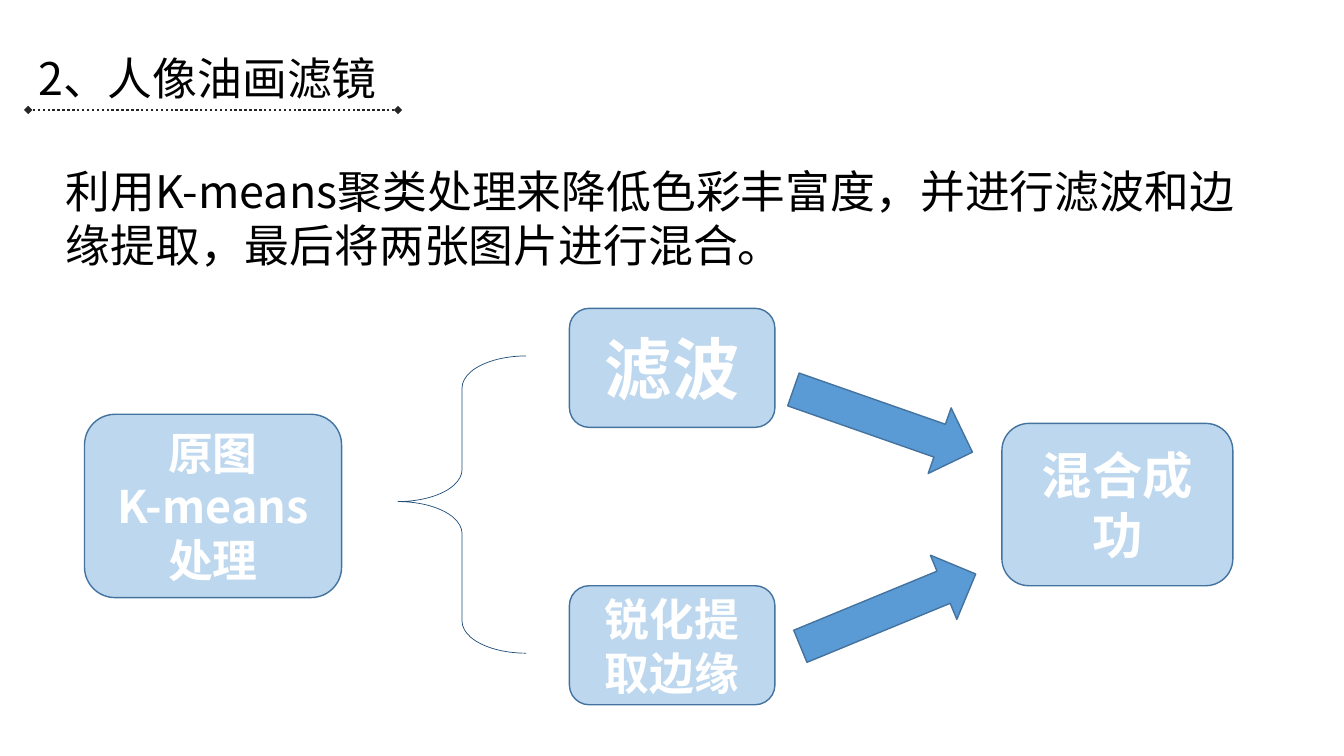
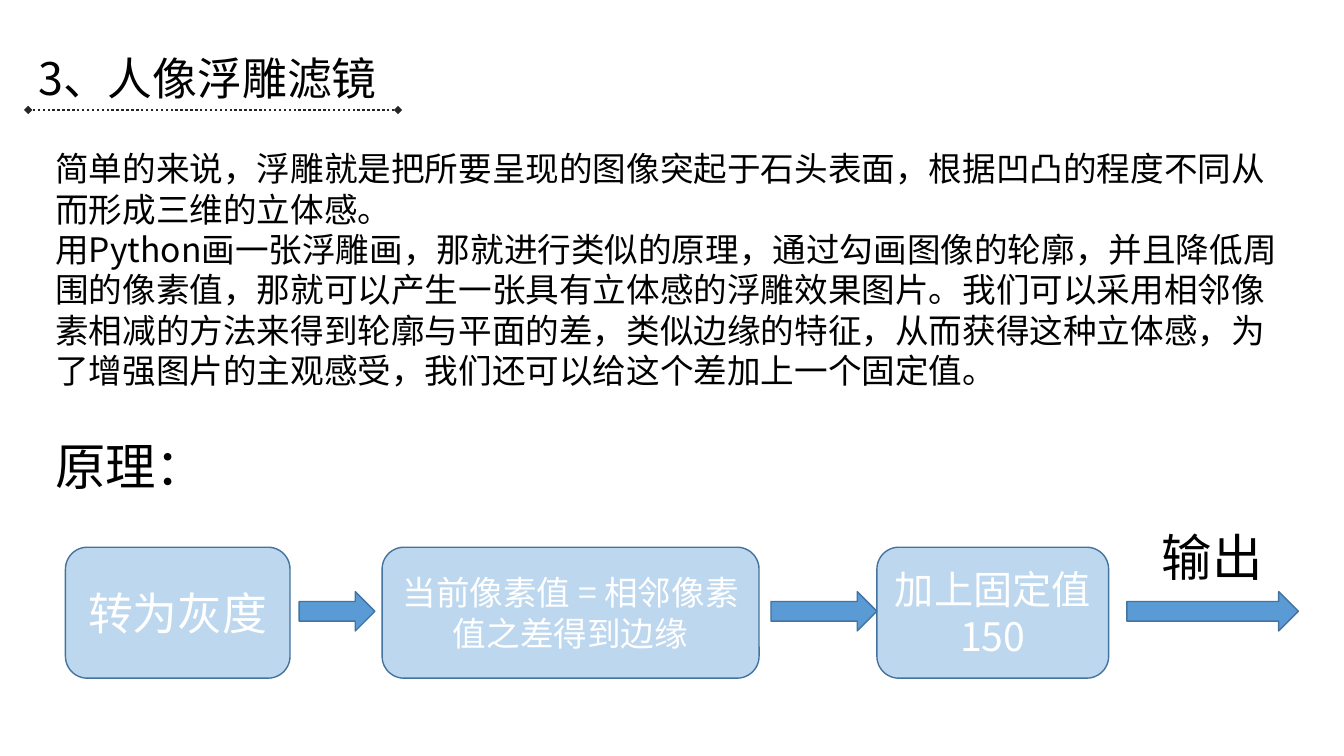
import dataclasses

import lxml.etree
import pptx
import pptx.dml.color
import pptx.enum.dml
import pptx.enum.shapes
import pptx.enum.text
import pptx.oxml.ns
import pptx.util

Cm = pptx.util.Cm
Pt = pptx.util.Pt
qn = pptx.oxml.ns.qn
Kind = pptx.enum.shapes.MSO_SHAPE
Align = pptx.enum.text.PP_ALIGN
Anchor = pptx.enum.text.MSO_ANCHOR


@dataclasses.dataclass(frozen=True)
class Theme:
    font: str = "Noto Sans CJK SC"
    ink: str = "000000"
    pale: str = "FFFFFF"
    box: str = "BDD7EE"
    edge: str = "43739E"
    arrow: str = "5B9BD5"
    brace: str = "1F4E79"
    rule: str = "262626"
    small: int = 24
    mid: int = 28
    large: int = 32
    big: int = 36
    huge: int = 48


THEME = Theme()


def rgb(code):
    return pptx.dml.color.RGBColor.from_string(code)


def place(shape, area):
    shape.left, shape.top, shape.width, shape.height = map(Cm, area)


def write(shape, text, size, color=THEME.ink, bold=False,
          align=Align.LEFT, anchor=Anchor.TOP):
    frame = shape.text_frame
    frame.text = text
    frame.word_wrap = True
    frame.auto_size = pptx.enum.text.MSO_AUTO_SIZE.NONE
    frame.vertical_anchor = anchor
    for para in frame.paragraphs:
        para.alignment = align
        para.space_before = Pt(0)
        for run in para.runs:
            font = run.font
            font.name, font.size, font.bold = THEME.font, Pt(size), bold
            font.color.rgb = rgb(color)
            latin = font._element.find(qn("a:latin"))
            east = lxml.etree.Element(qn("a:ea"), typeface=THEME.font)
            latin.addnext(east)


def head(slide, text):
    """Fill the title and draw the dotted rule with diamond ends below it."""
    title = slide.shapes.title
    place(title, (0.71, 1.14, 10.2, 1.63))
    write(title, text, THEME.large)
    rule = slide.shapes.add_connector(
        pptx.enum.shapes.MSO_CONNECTOR.STRAIGHT,
        Cm(10.03), Cm(2.77), Cm(0.71), Cm(2.77))
    rule.line.color.rgb = rgb(THEME.rule)
    rule.line.width = Pt(1.75)
    rule.line.dash_style = pptx.enum.dml.MSO_LINE.ROUND_DOT
    props = rule._element.spPr
    for end in ("a:headEnd", "a:tailEnd"):
        lxml.etree.SubElement(props.find(qn("a:ln")), qn(end), type="diamond")
    lxml.etree.SubElement(props, qn("a:effectLst"))


def body(slide, area, text, size):
    """Fill the body placeholder with plain paragraphs, without bullets."""
    holder = slide.placeholders[1]
    place(holder, area)
    write(holder, text, size)
    for para in holder.text_frame.paragraphs:
        props = para._element.get_or_add_pPr()
        props.set("marL", "0")
        props.set("indent", "0")
        lxml.etree.SubElement(props, qn("a:buNone"))


def label(slide, area, text):
    write(slide.shapes.add_textbox(*map(Cm, area)), text, THEME.big)


def draw(slide, kind, area, fill=None, edge=THEME.edge, width=1):
    shape = slide.shapes.add_shape(kind, *map(Cm, area))
    shape.shadow.inherit = False
    if fill:
        shape.fill.solid()
        shape.fill.fore_color.rgb = rgb(fill)
    else:
        shape.fill.background()
    shape.line.color.rgb = rgb(edge)
    shape.line.width = Pt(width)
    return shape


def box(slide, area, text, size, bold=False):
    shape = draw(slide, Kind.ROUNDED_RECTANGLE, area, THEME.box)
    write(shape, text, size, THEME.pale, bold, Align.CENTER, Anchor.MIDDLE)


def arrow(slide, area, turn=0):
    draw(slide, Kind.RIGHT_ARROW, area, THEME.arrow).rotation = turn


def brace(slide, area):
    shape = draw(slide, Kind.LEFT_BRACE, area, edge=THEME.brace, width=0.5)
    shape.adjustments[0] = 0.25
    shape.adjustments[1] = 0.49


def paint(slide):
    """Oil painting filter: one source, two branches, one blend."""
    head(slide, "2、人像油画滤镜")
    body(slide, (1.4, 4.01, 30.63, 3),
         "利用K-means聚类处理来降低色彩丰富度，并进行滤波和边缘提取，"
         "最后将两张图片进行混合。", THEME.large)
    box(slide, (2.13, 10.44, 6.48, 4.62), "原图\nK-means\n处理",
        THEME.large, True)
    for top, text, size in ((7.77, "滤波", THEME.huge),
                            (14.76, "锐化提取边缘", THEME.large)):
        box(slide, (14.35, top, 5.18, 3), text, size, True)
    box(slide, (25.25, 10.67, 5.82, 4.09), "混合成功", THEME.big, True)
    brace(slide, (10.03, 8.97, 3.23, 7.49))
    for left, top, turn in ((19.86, 9.73, 19.3), (19.99, 14.5, -22.4)):
        arrow(slide, (left, top, 4.78, 1.75), turn)


def emboss(slide):
    """Relief filter: explanation above a row of steps."""
    head(slide, "3、人像浮雕滤镜")
    body(slide, (1.14, 3.61, 31.6, 6.4),
         "简单的来说，浮雕就是把所要呈现的图像突起于石头表面，"
         "根据凹凸的程度不同从而形成三维的立体感。\n"
         "用Python画一张浮雕画，那就进行类似的原理，通过勾画图像的轮廓，"
         "并且降低周围的像素值，那就可以产生一张具有立体感的浮雕效果图片。"
         "我们可以采用相邻像素相减的方法来得到轮廓与平面的差，"
         "类似边缘的特征，从而获得这种立体感，为了增强图片的主观感受，"
         "我们还可以给这个差加上一个固定值。", THEME.small)
    steps = (
        (1.65, 5.66, "转为灰度", THEME.large),
        (9.63, 9.5, "当前像素值 = 相邻像素值之差得到边缘", THEME.small),
        (22.1, 5.84, "加上固定值150", THEME.mid),
    )
    for left, width, text, size in steps:
        box(slide, (left, 13.79, width, 3.3), text, size)
    for left, width in ((7.54, 1.91), (19.43, 2.67), (28.4, 4.32)):
        arrow(slide, (left, 14.91, width, 0.99))
    label(slide, (29.03, 13.13, 3.12, 1.8), "输出")
    label(slide, (1.14, 10.85, 5, 1.8), "原理：")


def main():
    deck = pptx.Presentation()
    deck.slide_width, deck.slide_height = Cm(33.87), Cm(19.05)
    for build in (paint, emboss):
        build(deck.slides.add_slide(deck.slide_layouts[1]))
    deck.save("out.pptx")


if __name__ == "__main__":
    main()
